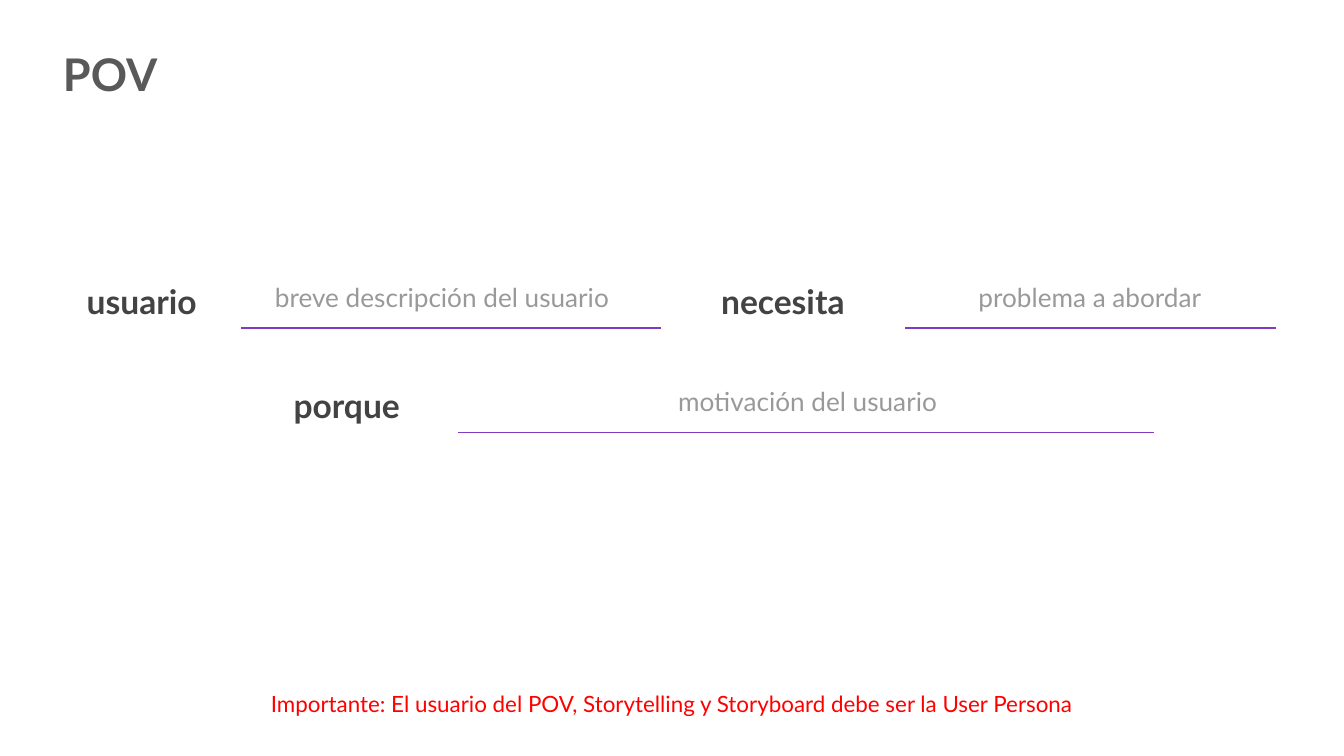
from lxml import etree
from pptx import Presentation, util as u
from pptx.dml.color import RGBColor
from pptx.enum import shapes, text
from pptx.oxml.ns import qn

GREY = RGBColor(0x59, 0x59, 0x59)
DARK = RGBColor(0x43, 0x43, 0x43)
PALE = RGBColor(0x99, 0x99, 0x99)
PURPLE = RGBColor(0x81, 0x3B, 0xC0)
RED = RGBColor(0xFF, 0x00, 0x00)


class Board:
    """Style and current slide; lengths are percent of slide width and height."""

    font = "Lato"
    pad = u.Inches(0.1)

    def __init__(self, deck):
        self.wide, self.high = deck.slide_width, deck.slide_height
        self.slide = deck.slides.add_slide(deck.slide_layouts[6])

    def x(self, share):
        return round(self.wide * share / 100)

    def y(self, share):
        return round(self.high * share / 100)

    def label(self, words, left, top, width, height, size, color,
              bold=False, align=text.PP_ALIGN.CENTER):
        box = self.slide.shapes.add_textbox(
            self.x(left), self.y(top), self.x(width), self.y(height))
        frame = box.text_frame
        frame.word_wrap = True
        frame.margin_left = frame.margin_right = self.pad
        frame.margin_top = frame.margin_bottom = self.pad
        para = frame.paragraphs[0]
        para.text = words
        para.alignment = align
        font = para.font
        font.name, font.size, font.bold = self.font, u.Pt(size), bold
        font.color.rgb = color
        return frame

    def rule(self, left, right, top):
        line = self.slide.shapes.add_connector(
            shapes.MSO_CONNECTOR.STRAIGHT,
            self.x(left), self.y(top), self.x(right), self.y(top))
        line.line.color.rgb = PURPLE
        line.line.width = u.Pt(0.75)
        etree.SubElement(line._element.spPr, qn("a:effectLst"))

    def title(self, words):
        frame = self.label(words, 3.7, 5.55, 87.3, 9.6, 24.1, GREY, True,
                           text.PP_ALIGN.LEFT)
        frame.vertical_anchor = text.MSO_ANCHOR.MIDDLE
        frame.paragraphs[0].line_spacing = 0.8

    def blank(self, top, key, hint, line):
        """A bold key word, then a hint above a rule; each has left and width."""
        word, left, width = key
        self.label(word, left, top, width, 8.9, 18, DARK, True)
        word, left, width = hint
        self.label(word, left, top, width, 7.8, 14, PALE)
        self.rule(*line, top + 8)


def main():
    deck = Presentation()
    deck.slide_width, deck.slide_height = u.Inches(10), u.Inches(5.625)
    board = Board(deck)
    board.title("POV")
    first, second = 35.4, 49.2
    board.blank(first, ("usuario", 2.05, 17),
                ("breve descripción del usuario", 16.7, 32.4), (17.9, 49.15))
    board.blank(first, ("necesita", 49.75, 17),
                ("problema a abordar", 67.35, 27.5), (67.35, 94.95))
    board.blank(second, ("porque", 19.05, 13.5),
                ("motivación del usuario", 32.6, 55), (34.1, 85.9))
    board.label("Importante: El usuario del POV, Storytelling y Storyboard "
                "debe ser la User Persona", 12.65, 89.5, 74.7, 7.8, 12, RED)
    deck.save("out.pptx")


if __name__ == "__main__":
    main()
